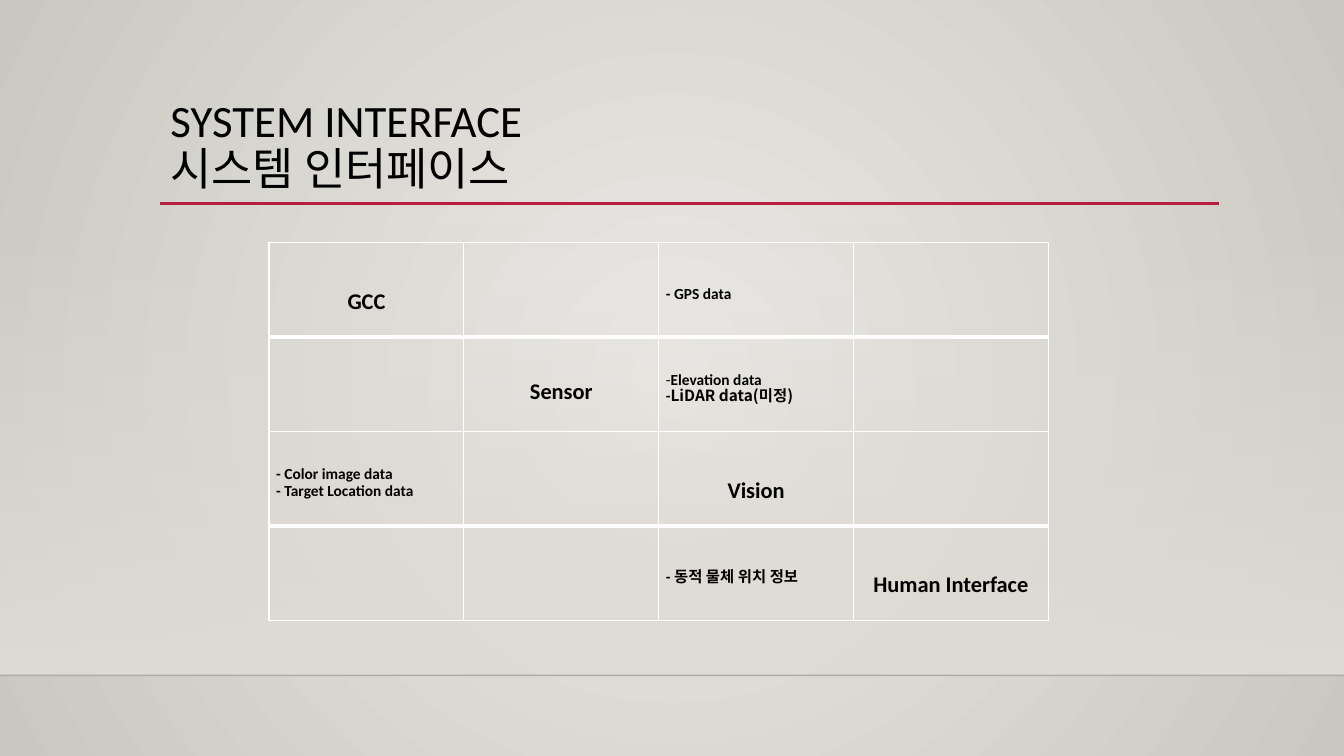
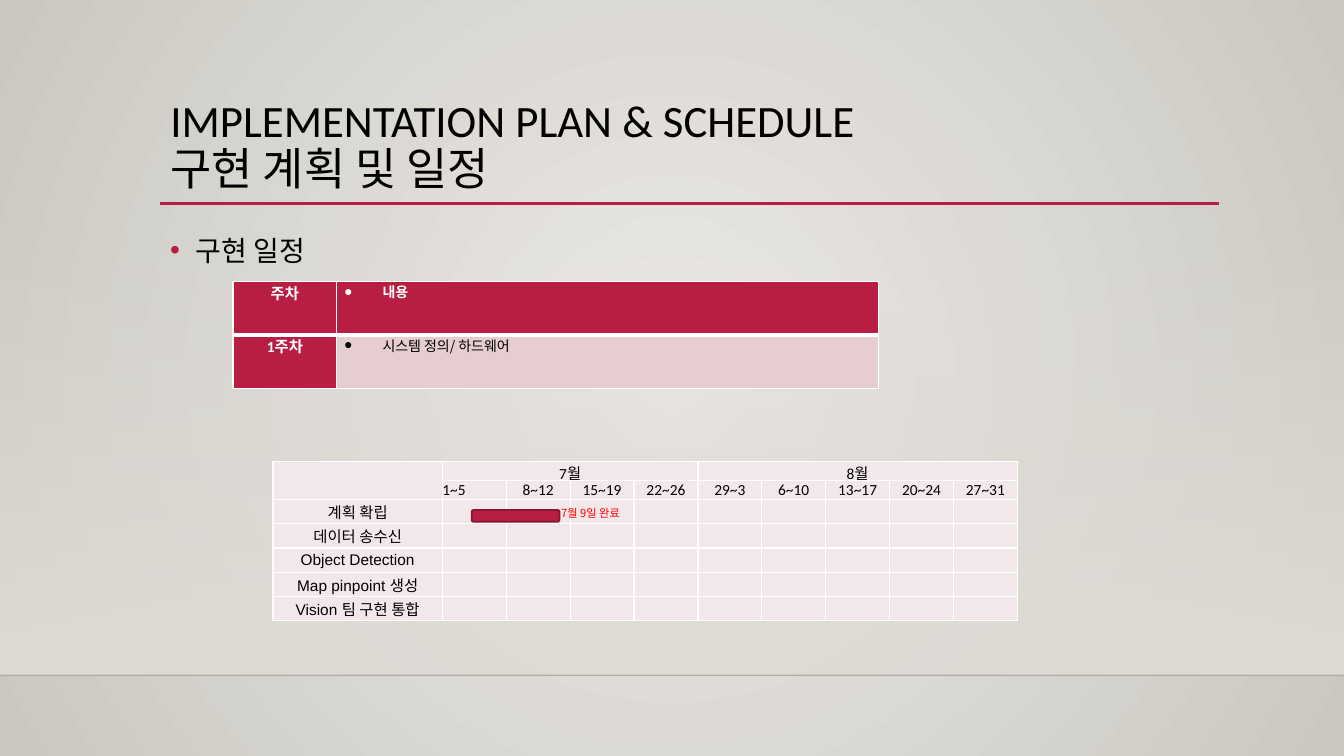
"""Two slides on system interfaces and the implementation schedule."""
from dataclasses import dataclass, field
from typing import Optional

from lxml import etree
from pptx import Presentation
from pptx.dml.color import RGBColor
from pptx.enum.shapes import MSO_CONNECTOR, MSO_SHAPE
from pptx.enum.text import MSO_ANCHOR, MSO_AUTO_SIZE, PP_ALIGN
from pptx.oxml.ns import qn
from pptx.util import Cm, Pt

LEFT, CENTER, JUSTIFY = PP_ALIGN.LEFT, PP_ALIGN.CENTER, PP_ALIGN.JUSTIFY
TOP, MIDDLE = MSO_ANCHOR.TOP, MSO_ANCHOR.MIDDLE
NO_FIT = MSO_AUTO_SIZE.NONE
RECTANGLE = MSO_SHAPE.RECTANGLE
TASK_BAR = MSO_SHAPE.FLOWCHART_ALTERNATE_PROCESS
STRAIGHT = MSO_CONNECTOR.STRAIGHT

BLACK, WHITE, RED = "000000", "FFFFFF", "FF0000"
CRIMSON, DARK_CRIMSON = "B71E42", "871631"
PINK, PALE_PINK = "E6CDCF", "F3E8E9"
GLOW, EDGE, FLOOR = "ECEAE7", "CAC7C1", "DFDBD5"
CALIBRI, ARIAL, KOREAN = "Calibri", "Arial", "Noto Sans CJK KR"

SLIDE_WIDTH, SLIDE_HEIGHT = 33.87, 19.05
CONTENT_LEFT, CONTENT_WIDTH = 4.04, 26.67
BAND_TOP, BAND_BOTTOM = 5.61, 17.02
TITLE_RULE_Y = 5.13


@dataclass(frozen=True)
class Run:
    """A piece of text in one format."""
    text: str
    size: float = 11
    font: str = CALIBRI
    color: str = BLACK
    bold: bool = False


@dataclass(frozen=True)
class Para:
    """A paragraph; the indent is in centimetres."""
    runs: tuple[Run, ...]
    align: PP_ALIGN = LEFT
    spacing: Optional[float] = None
    before: float = 0
    bullet: str = ""
    bullet_color: str = BLACK
    indent: float = 0


@dataclass(frozen=True)
class Entry:
    """The content of a table cell; insets run left, top, right, bottom."""
    paras: tuple[Para, ...]
    insets: tuple[float, ...] = (0, 0, 0, 0)
    anchor: MSO_ANCHOR = MIDDLE
    fill: Optional[str] = None


@dataclass(frozen=True)
class Grid:
    """A table: place and sizes in centimetres, entries by row and column."""
    left: float
    top: float
    columns: tuple[float, ...]
    rows: tuple[float, ...]
    entries: dict[tuple[int, int], Entry]
    fill: Optional[str] = None
    heavy_below: tuple[int, ...] = ()
    merges: tuple[tuple[int, int, int, int], ...] = field(default=())


def rgb(value: str) -> RGBColor:
    """Turn a hex string into a colour."""
    return RGBColor.from_string(value)


def add_node(parent, tag: str, **attributes):
    """Append an XML element to its parent."""
    return etree.SubElement(parent, qn(tag), attributes)


def set_alpha(owner, percent: int) -> None:
    """Give the first plain colour under an element an opacity."""
    color = next(owner.iter(qn("a:srgbClr")))
    add_node(color, "a:alpha", val=str(percent * 1000))


def set_gradient(fill, start: str, end: str) -> None:
    """Fill with two colours."""
    fill.gradient()
    for stop, color in zip(fill.gradient_stops, (start, end)):
        stop.color.rgb = rgb(color)


def set_background(master) -> None:
    """Give every slide the circular backdrop."""
    set_gradient(master.background.fill, GLOW, EDGE)
    gradient = next(master.element.iter(qn("a:gradFill")))
    gradient.remove(gradient.find(qn("a:lin")))
    circle = add_node(gradient, "a:path", path="circle")
    add_node(circle, "a:fillToRect", l="50000", t="50000", r="50000", b="50000")


def add_rule(slide, left: float, right: float, y: float, color: str, width: float):
    """Draw a horizontal line without shadow."""
    rule = slide.shapes.add_connector(STRAIGHT, Cm(left), Cm(y), Cm(right), Cm(y))
    rule.line.color.rgb = rgb(color)
    rule.line.width = Pt(width)
    add_node(rule.element.spPr, "a:effectLst")
    return rule


def write_run(paragraph, piece: Run) -> None:
    """Add one formatted run."""
    run = paragraph.add_run()
    run.text = piece.text
    run.font.size = Pt(piece.size)
    run.font.name = piece.font
    run.font.bold = piece.bold
    run.font.color.rgb = rgb(piece.color)
    add_node(run.font._element, "a:ea", typeface=KOREAN)


def write_paras(frame, paras: tuple[Para, ...]) -> None:
    """Fill a text frame paragraph by paragraph."""
    for index, para in enumerate(paras):
        paragraph = frame.add_paragraph() if index else frame.paragraphs[0]
        paragraph.alignment = para.align
        if para.spacing:
            paragraph.line_spacing = para.spacing
        paragraph.space_before = Pt(para.before)
        if para.bullet:
            props = paragraph._p.get_or_add_pPr()
            props.set("marL", str(Cm(para.indent)))
            props.set("indent", str(-Cm(para.indent)))
            marker = add_node(props, "a:buClr")
            add_node(marker, "a:srgbClr", val=para.bullet_color)
            add_node(props, "a:buFont", typeface=ARIAL)
            add_node(props, "a:buChar", char=para.bullet)
        for piece in para.runs:
            write_run(paragraph, piece)


def add_text(slide, left: float, top: float, width: float, height: float,
             para: Para, anchor: MSO_ANCHOR = TOP) -> None:
    """Place a wrapping text box."""
    frame = slide.shapes.add_textbox(Cm(left), Cm(top), Cm(width), Cm(height)).text_frame
    frame.word_wrap = True
    frame.vertical_anchor = anchor
    write_paras(frame, (para,))


def add_titled_slide(deck, english: str, korean: str):
    """Start a slide with the shared title, rule and floor band."""
    slide = deck.slides.add_slide(deck.slide_layouts[5])
    band = slide.shapes.add_shape(RECTANGLE, 0, Cm(BAND_TOP), Cm(SLIDE_WIDTH),
                                  Cm(BAND_BOTTOM - BAND_TOP))
    band.shadow.inherit = False
    set_gradient(band.fill, FLOOR, FLOOR)
    band.fill.gradient_angle = 270
    set_alpha(band.element.spPr, 0)
    band.line.fill.background()
    floor_edge = add_rule(slide, 0, SLIDE_WIDTH, BAND_BOTTOM, BLACK, 1)
    set_alpha(floor_edge.element.spPr, 20)
    add_rule(slide, CONTENT_LEFT, CONTENT_LEFT + CONTENT_WIDTH, TITLE_RULE_Y, CRIMSON, 2.5)

    title = slide.shapes.title
    title.left, title.top = Cm(CONTENT_LEFT), Cm(2.24)
    title.width, title.height = Cm(CONTENT_WIDTH), Cm(2.92)
    frame = title.text_frame
    frame.auto_size = NO_FIT
    frame.word_wrap = True
    frame.vertical_anchor = MIDDLE
    heading = frame.paragraphs[0]
    heading.alignment = LEFT
    heading.line_spacing = 0.9
    write_run(heading, Run(english, 32))
    heading.add_line_break()
    write_run(heading, Run(korean, 32))
    return slide


def set_borders(cell, top: float, bottom: float) -> None:
    """Draw white cell borders; the sides are one point wide."""
    props = cell._tc.get_or_add_tcPr()
    widths = {"a:lnL": 1, "a:lnR": 1, "a:lnT": top, "a:lnB": bottom}
    for index, (tag, width) in enumerate(widths.items()):
        border = etree.Element(qn(tag), w=str(Pt(width)))
        add_node(add_node(border, "a:solidFill"), "a:srgbClr", val=WHITE)
        props.insert(index, border)


def add_grid(slide, grid: Grid) -> None:
    """Draw a table with its fills, borders and text."""
    table = slide.shapes.add_table(
        len(grid.rows), len(grid.columns), Cm(grid.left), Cm(grid.top),
        Cm(sum(grid.columns)), Cm(sum(grid.rows))).table
    table.first_row = table.horz_banding = False
    for column, width in zip(table.columns, grid.columns):
        column.width = Cm(width)
    for row, height in zip(table.rows, grid.rows):
        row.height = Cm(height)
    for r in range(len(grid.rows)):
        for c in range(len(grid.columns)):
            cell = table.cell(r, c)
            entry = grid.entries.get((r, c), Entry(()))
            fill = entry.fill or grid.fill
            if fill:
                cell.fill.solid()
                cell.fill.fore_color.rgb = rgb(fill)
            else:
                cell.fill.background()
            set_borders(cell, 3 if r - 1 in grid.heavy_below else 1,
                        3 if r in grid.heavy_below else 1)
            cell.vertical_anchor = entry.anchor
            (cell.margin_left, cell.margin_top,
             cell.margin_right, cell.margin_bottom) = map(Cm, entry.insets)
            write_paras(cell.text_frame, entry.paras)
            if not entry.paras:
                add_node(cell.text_frame.paragraphs[0]._p, "a:endParaRPr", sz="1100")
    for r1, c1, r2, c2 in grid.merges:
        table.cell(r1, c1).merge(table.cell(r2, c2))


def component(name: str, top_inset: float = 0.25) -> Entry:
    """Name a system component on the diagonal."""
    return Entry((Para((Run(name, 16, bold=True),), CENTER, 1.5, 6),),
                 (0.18, top_inset, 0.18, 0))


def data_list(*lines: tuple[Run, ...]) -> Entry:
    """List the data passed between two components."""
    return Entry(tuple(Para(runs, JUSTIFY, Pt(12)) for runs in lines), (0.18, 0.25, 0.18, 0))


def data_item(text: str, font: str = CALIBRI) -> Run:
    """Write one bold data name."""
    return Run(text, font=font, bold=True)


def week(text: str) -> Entry:
    """Head a row of the weekly plan."""
    return Entry((Para((Run(text, color=WHITE, bold=True),), CENTER),),
                 (0.18, 0, 0.18, 0), TOP, CRIMSON)


def week_content(text: str, color: str, fill: str, bold: bool) -> Entry:
    """Describe a row of the weekly plan."""
    run = Run(text, 10, KOREAN, color, bold)
    para = Para((run,), JUSTIFY, bullet="●", bullet_color=color, indent=0.97)
    return Entry((para,), (0.18, 0, 0.18, 0), TOP, fill)


def label(text: str, font: str = CALIBRI, align: PP_ALIGN = CENTER) -> Entry:
    """Write a schedule heading."""
    return Entry((Para((Run(text, font=font),), align),))


def build_interface(deck) -> None:
    """Build the component interface matrix."""
    slide = add_titled_slide(deck, "SYSTEM INTERFACE", "시스템 인터페이스")
    entries = {
        (0, 0): component("GCC"),
        (1, 1): component("Sensor", 0),
        (2, 2): component("Vision"),
        (3, 3): component("Human Interface"),
        (0, 2): data_list((data_item("- GPS data"),)),
        (1, 2): data_list((Run("-"), data_item("Elevation data")),
                          (data_item("-"), data_item("LiDAR data(미정)", KOREAN))),
        (2, 0): data_list((data_item("- Color image data"),),
                          (data_item("- Target Location data"),)),
        (3, 2): data_list((data_item("- 동적 물체 위치 정보"),)),
    }
    add_grid(slide, Grid(6.78, 6.12, (4.91,) * 4, (2.38,) * 4, entries, heavy_below=(0, 2)))


def build_schedule(deck) -> None:
    """Build the weekly plan and the task schedule."""
    slide = add_titled_slide(deck, "IMPLEMENTATION PLAN & SCHEDULE", "구현 계획 및 일정")
    add_text(slide, CONTENT_LEFT, 5.59, CONTENT_WIDTH, 9.58,
             Para((Run("구현 일정", 20),), LEFT, 1.2, 10, "•", CRIMSON, 0.64))
    plan = {(0, 0): week("주차"), (0, 1): week_content("내용", WHITE, CRIMSON, True),
            (1, 0): week("1주차"),
            (1, 1): week_content("시스템 정의/ 하드웨어", BLACK, PINK, False)}
    add_grid(slide, Grid(5.87, 7.09, (2.62, 13.64), (1.35,) * 2, plan, heavy_below=(0,)))

    periods = ("1~5", "8~12", "15~19", "22~26", "29~3", "6~10", "13~17", "20~24", "27~31")
    tasks = ("계획 확립", "데이터 송수신", "Object Detection", "Map pinpoint 생성",
             "Vision 팀 구현 통합")
    schedule = {(0, 1): label("7월"), (0, 5): label("8월")}
    for c, period in enumerate(periods, 1):
        schedule[1, c] = label(period, align=LEFT if c == 1 else CENTER)
    for r, task in enumerate(tasks, 2):
        schedule[r, 0] = label(task, ARIAL)
    add_grid(slide, Grid(6.88, 11.63, (4.27,) + (1.61,) * len(periods),
                         (0.48,) * 2 + (0.61,) * len(tasks), schedule, PALE_PINK,
                         merges=((0, 0, 1, 0), (0, 1, 0, 4), (0, 5, 0, 9))))
    progress = slide.shapes.add_shape(TASK_BAR, Cm(11.89), Cm(12.85), Cm(2.21), Cm(0.3))
    progress.shadow.inherit = False
    progress.fill.solid()
    progress.fill.fore_color.rgb = rgb(CRIMSON)
    progress.line.color.rgb = rgb(DARK_CRIMSON)
    progress.line.width = Pt(1.25)
    add_text(slide, 13.89, 12.65, 2.36, 0.58,
             Para((Run("7월 9일 완료", 8, KOREAN, RED),)), MIDDLE)


def main() -> None:
    """Build and save the deck."""
    deck = Presentation()
    deck.slide_width, deck.slide_height = Cm(SLIDE_WIDTH), Cm(SLIDE_HEIGHT)
    set_background(deck.slide_master)
    build_interface(deck)
    build_schedule(deck)
    deck.save("out.pptx")


main()
